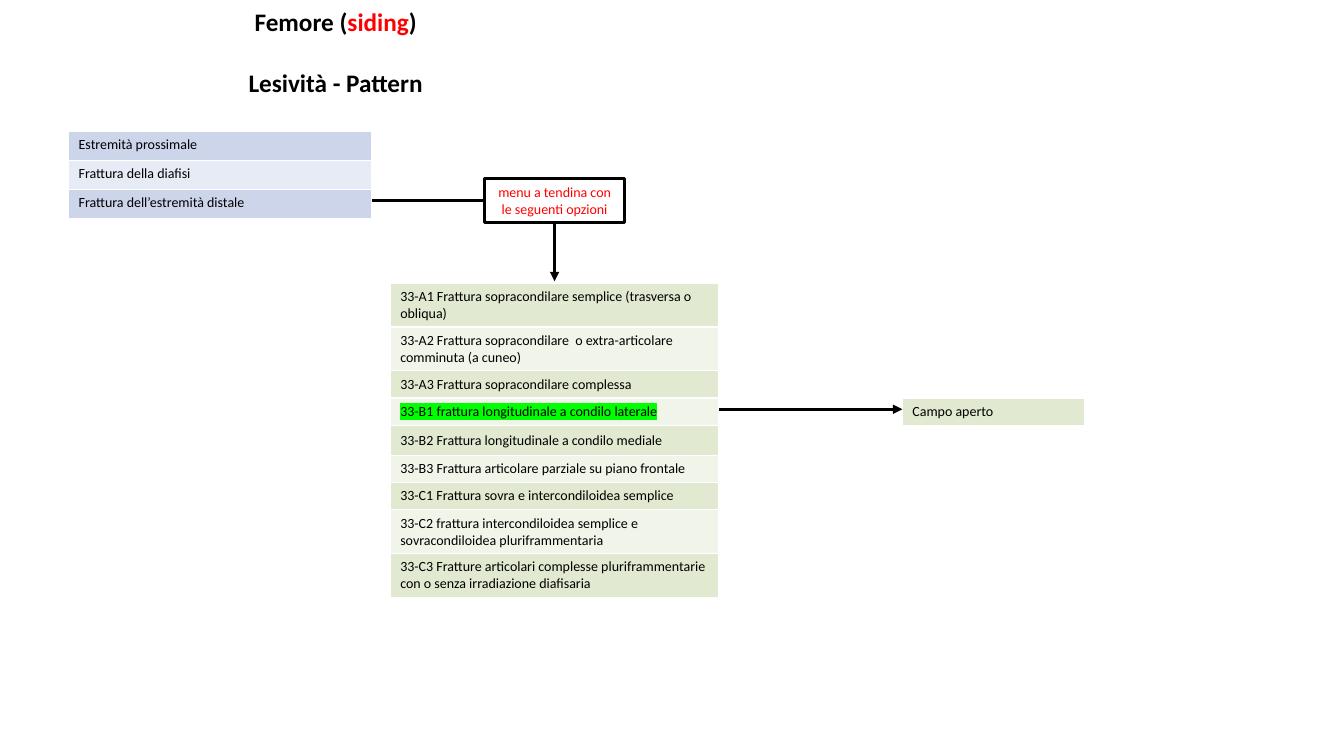
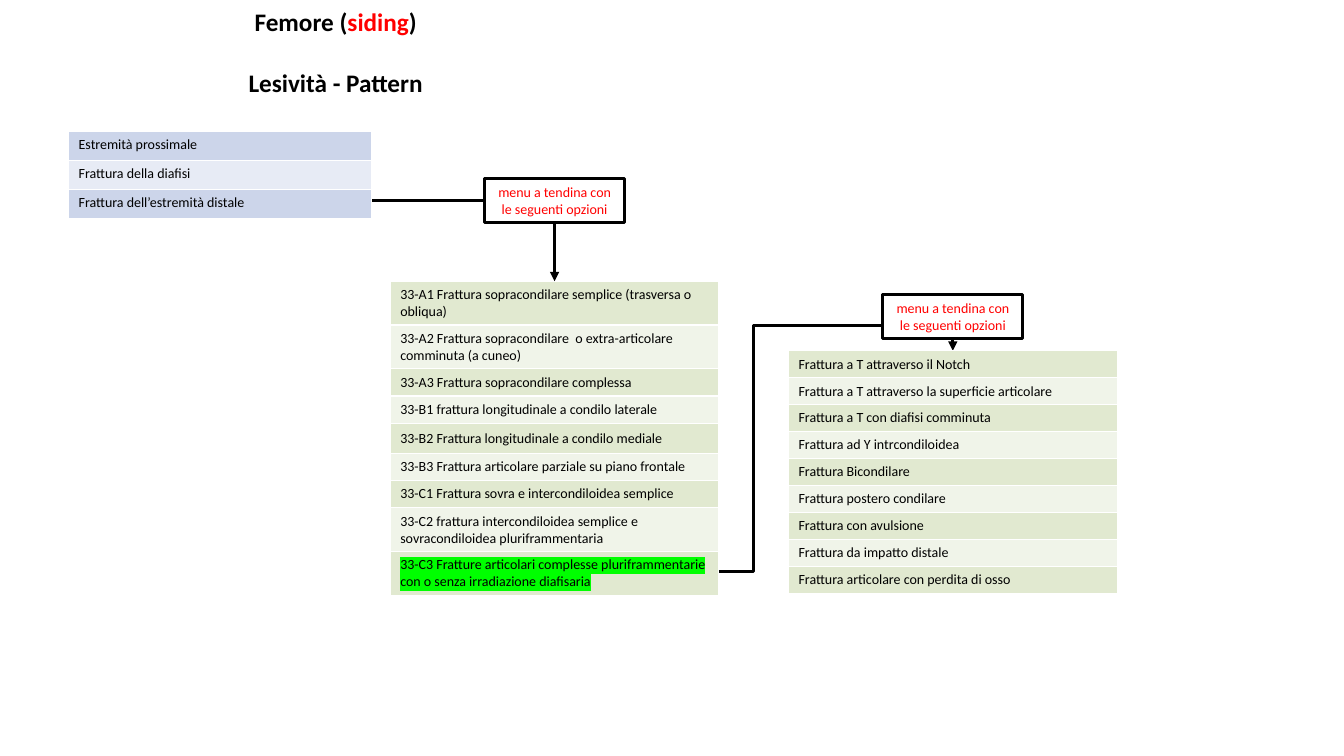
from dataclasses import dataclass

from lxml import etree
from pptx import Presentation
from pptx.dml.color import RGBColor
from pptx.enum.shapes import MSO_CONNECTOR, MSO_SHAPE
from pptx.enum.text import MSO_ANCHOR, PP_ALIGN
from pptx.oxml.ns import qn
from pptx.util import Inches, Pt

ELBOW, STRAIGHT = MSO_CONNECTOR.ELBOW, MSO_CONNECTOR.STRAIGHT
RECTANGLE = MSO_SHAPE.RECTANGLE
TOP, MIDDLE = MSO_ANCHOR.TOP, MSO_ANCHOR.MIDDLE
CENTER = PP_ALIGN.CENTER


@dataclass(frozen=True)
class Theme:
    font: str = "Calibri"
    title_size: int = 18
    body_size: int = 10
    line_width: float = 2.25
    border_width: float = 1
    black: str = "000000"
    red: str = "FF0000"
    white: str = "FFFFFF"
    highlight: str = "00FF00"
    blue_bands: tuple = ("CCD5EA", "E7EBF5")
    green_bands: tuple = ("E1E9D0", "F0F4E9")


THEME = Theme()

TITLE = [[("Femore (", THEME.black), ("siding", THEME.red), (")", THEME.black)],
         [("Lesività - Pattern", THEME.black)]]
REGIONS = ["Estremità prossimale", "Frattura della diafisi", "Frattura dell’estremità distale"]
MENU_LABEL = "menu a tendina con le seguenti opzioni"
SINGLE, TALL, DOUBLE = 0.27, 0.3, 0.43
DISTAL_FRACTURES = [
    ("33-A1 Frattura sopracondilare semplice (trasversa o obliqua)", DOUBLE),
    ("33-A2 Frattura sopracondilare  o extra-articolare comminuta (a cuneo)", DOUBLE),
    ("33-A3 Frattura sopracondilare complessa", SINGLE),
    ("33-B1 frattura longitudinale a condilo laterale", SINGLE),
    ("33-B2 Frattura longitudinale a condilo mediale", TALL),
    ("33-B3 Frattura articolare parziale su piano frontale", SINGLE),
    ("33-C1 Frattura sovra e intercondiloidea semplice", SINGLE),
    ("33-C2 frattura intercondiloidea semplice e sovracondiloidea pluriframmentaria", DOUBLE),
    ("33-C3 Fratture articolari complesse pluriframmentarie con o senza irradiazione diafisaria", DOUBLE),
]
OPEN_FIELD = "Campo aperto"
C3_OPTIONS = [
    "Frattura a T attraverso il Notch",
    "Frattura a T attraverso la superficie articolare",
    "Frattura a T con diafisi comminuta",
    "Frattura ad Y intrcondiloidea",
    "Frattura Bicondilare",
    "Frattura postero condilare",
    "Frattura con avulsione",
    "Frattura da impatto distale",
    "Frattura articolare con perdita di osso",
]

REGION_LEFT, REGION_WIDTH = 0.68, 3.01
FRACTURE_LEFT, OPTION_LEFT, LIST_WIDTH = 3.87, 7.82, 3.26
MENU_WIDTH, MENU_HEIGHT = 1.39, 0.44
REGION_RIGHT = REGION_LEFT + REGION_WIDTH
FRACTURE_RIGHT = FRACTURE_LEFT + LIST_WIDTH
FRACTURE_CENTER = FRACTURE_LEFT + LIST_WIDTH / 2
OPTION_CENTER = OPTION_LEFT + LIST_WIDTH / 2


def rgb(value):
    return RGBColor.from_string(value)


def style(paragraph, size, color, bold=False):
    font = paragraph.font
    font.name, font.size, font.bold = THEME.font, Pt(size), bold
    font.color.rgb = rgb(color)


def add_title(slide):
    frame = slide.shapes.add_textbox(0, Inches(0.01), Inches(6.66), Inches(1.01)).text_frame
    frame.word_wrap = True
    for index, parts in enumerate(TITLE):
        paragraph = frame.add_paragraph() if index else frame.paragraphs[0]
        paragraph.alignment = CENTER
        if index:
            paragraph.space_before = Pt(22)
        style(paragraph, THEME.title_size, THEME.black, bold=True)
        for text, color in parts:
            run = paragraph.add_run()
            run.text = text
            run.font.color.rgb = rgb(color)


def add_borders(cell):
    properties = cell._tc.get_or_add_tcPr()
    for side in ("a:lnL", "a:lnR", "a:lnT", "a:lnB"):
        border = etree.SubElement(properties, qn(side), w=str(Pt(THEME.border_width)))
        fill = etree.SubElement(border, qn("a:solidFill"))
        etree.SubElement(fill, qn("a:srgbClr"), val=THEME.white)


def add_list(slide, left, top, width, rows, bands, anchor=MIDDLE, marked=None):
    total = sum(height for _, height in rows)
    table = slide.shapes.add_table(len(rows), 1, Inches(left), Inches(top),
                                   Inches(width), Inches(total)).table
    table.first_row = table.horz_banding = False
    for index, (text, height) in enumerate(rows):
        table.rows[index].height = Inches(height)
        cell = table.cell(index, 0)
        add_borders(cell)
        cell.fill.solid()
        cell.fill.fore_color.rgb = rgb(bands[index % 2])
        cell.vertical_anchor = anchor
        paragraph = cell.text_frame.paragraphs[0]
        style(paragraph, THEME.body_size, THEME.black)
        run = paragraph.add_run()
        run.text = text
        if marked and text.startswith(marked):
            highlight = etree.SubElement(run._r.get_or_add_rPr(), qn("a:highlight"))
            etree.SubElement(highlight, qn("a:srgbClr"), val=THEME.highlight)


def add_menu(slide, center, top):
    menu = slide.shapes.add_shape(RECTANGLE, Inches(center - MENU_WIDTH / 2), Inches(top),
                                  Inches(MENU_WIDTH), Inches(MENU_HEIGHT))
    menu.shadow.inherit = False
    menu.fill.solid()
    menu.fill.fore_color.rgb = rgb(THEME.white)
    menu.line.color.rgb = rgb(THEME.black)
    menu.line.width = Pt(THEME.line_width)
    menu.text_frame.word_wrap = True
    paragraph = menu.text_frame.paragraphs[0]
    paragraph.text = MENU_LABEL
    paragraph.alignment = CENTER
    style(paragraph, THEME.body_size, THEME.red)


def add_arrow(slide, start, end, bend=None, adjustments=()):
    arrow = slide.shapes.add_connector(ELBOW if bend else STRAIGHT,
                                       *(Inches(value) for value in start + end))
    arrow.line.color.rgb = rgb(THEME.black)
    arrow.line.width = Pt(THEME.line_width)
    properties = arrow._element.spPr
    etree.SubElement(properties.find(qn("a:ln")), qn("a:tailEnd"), type="triangle")
    etree.SubElement(properties, qn("a:effectLst"))
    if bend:
        geometry = properties.find(qn("a:prstGeom"))
        geometry.set("prst", bend)
        guides = geometry.find(qn("a:avLst"))
        for number, share in enumerate(adjustments, 1):
            etree.SubElement(guides, qn("a:gd"), name=f"adj{number}",
                             fmla=f"val {round(share * 100000)}")


def add_fracture_slide(deck, list_top, marked):
    slide = deck.slides.add_slide(deck.slide_layouts[6])
    add_title(slide)
    add_list(slide, REGION_LEFT, 1.3, REGION_WIDTH, [(region, 0.29) for region in REGIONS],
             THEME.blue_bands, anchor=TOP)
    add_list(slide, FRACTURE_LEFT, list_top, LIST_WIDTH, DISTAL_FRACTURES,
             THEME.green_bands, marked=marked)
    add_arrow(slide, (REGION_RIGHT, 1.99), (FRACTURE_CENTER, 2.79), "bentConnector2")
    add_menu(slide, FRACTURE_CENTER, 1.77)
    return slide


def add_open_field(slide):
    field_left, arrow_y = 8.95, 4.06
    add_list(slide, field_left, 3.95, 1.81, [(OPEN_FIELD, SINGLE)], THEME.green_bands, anchor=TOP)
    add_arrow(slide, (FRACTURE_RIGHT, arrow_y), (field_left, arrow_y))


def add_c3_options(slide):
    row_y, options_top, turn_x, turn_y = 5.67, 3.48, 7.47, 3.23
    across = (turn_x - FRACTURE_RIGHT) / (OPTION_CENTER - FRACTURE_RIGHT)
    upward = (row_y - turn_y) / (row_y - options_top)
    add_arrow(slide, (FRACTURE_RIGHT, row_y), (OPTION_CENTER, options_top),
              "bentConnector4", (across, upward))
    add_menu(slide, OPTION_CENTER, 2.92)
    row_height = 2.4 / len(C3_OPTIONS)
    add_list(slide, OPTION_LEFT, options_top, LIST_WIDTH,
             [(option, row_height) for option in C3_OPTIONS], THEME.green_bands)


def main():
    deck = Presentation()
    deck.slide_width, deck.slide_height = Inches(13.33), Inches(7.5)
    add_open_field(add_fracture_slide(deck, 2.81, "33-B1"))
    add_c3_options(add_fracture_slide(deck, 2.79, "33-C3"))
    deck.save("out.pptx")


if __name__ == "__main__":
    main()
